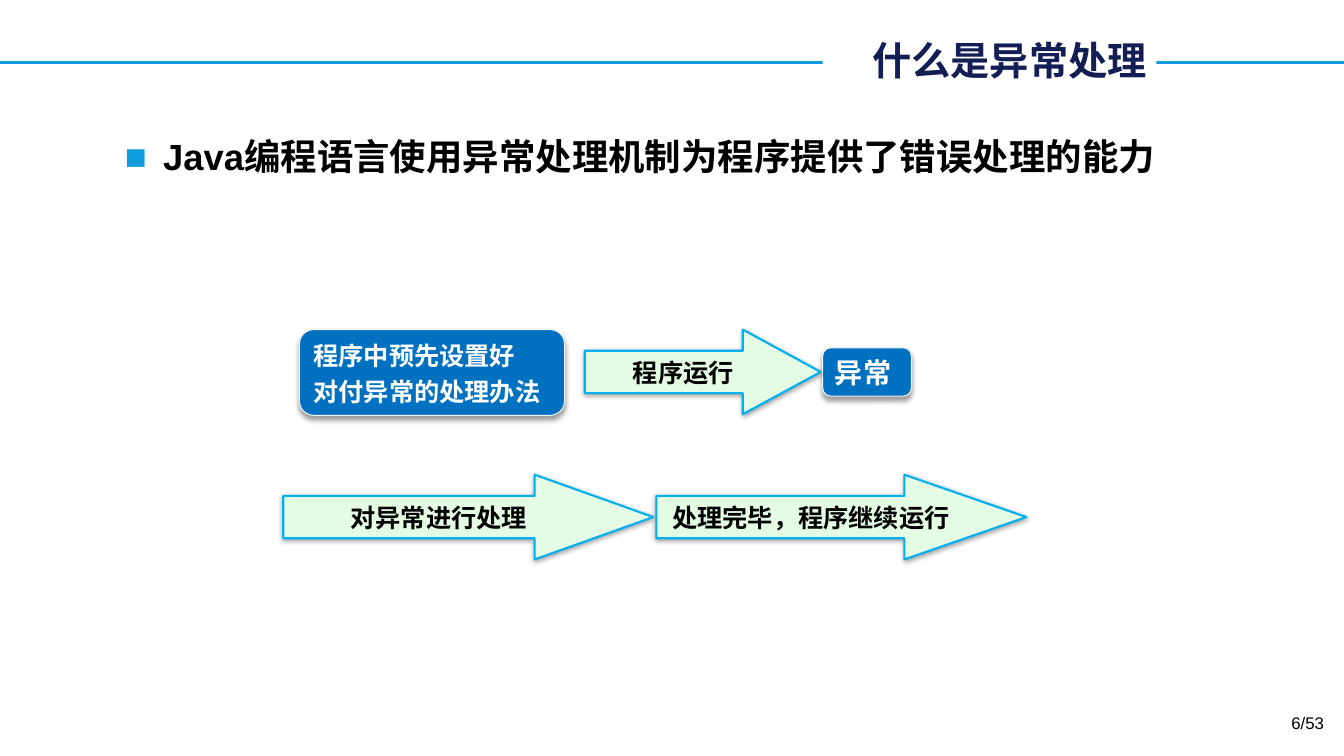
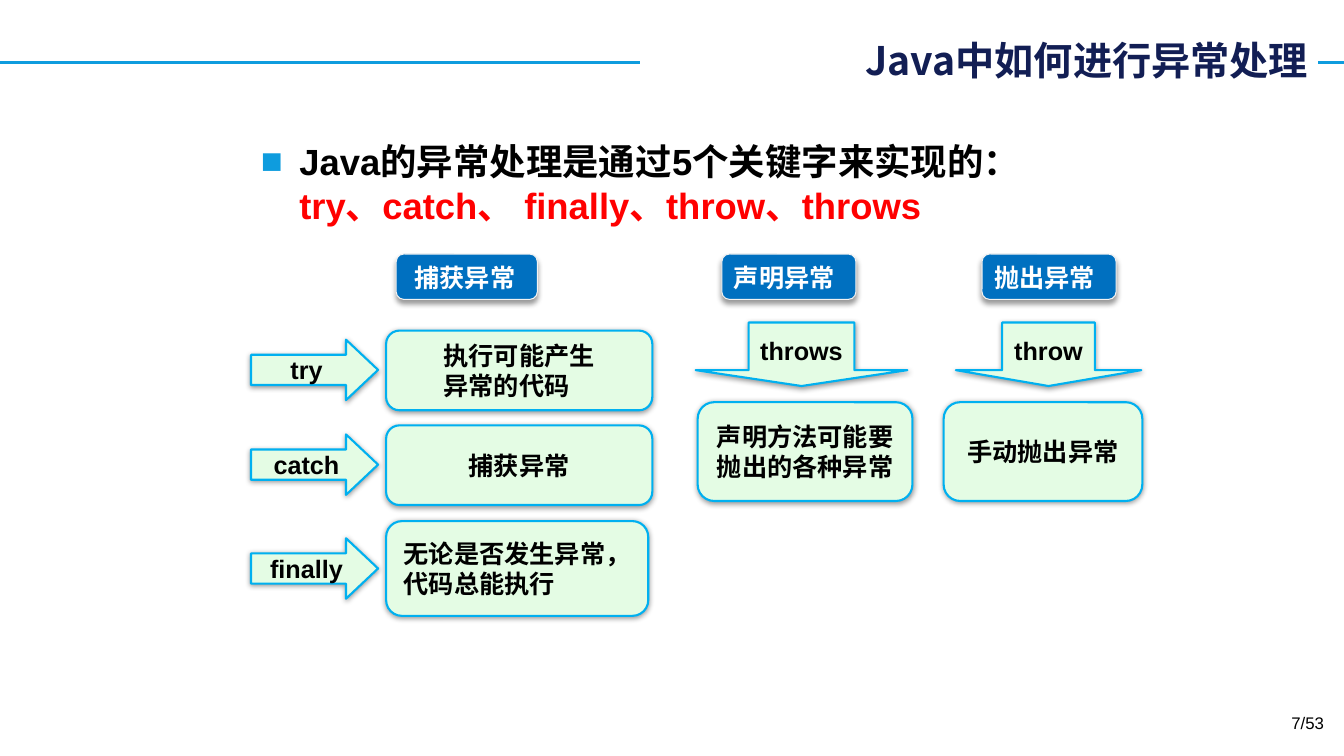
from lxml import etree
from pptx import Presentation
from pptx.dml.color import RGBColor
from pptx.enum.shapes import MSO_CONNECTOR, MSO_SHAPE
from pptx.enum.text import MSO_ANCHOR, PP_ALIGN
from pptx.oxml.ns import qn
from pptx.util import Pt

PX = 9144  # 100 px to the inch
PAGE_W, PAGE_H = 1333, 750
PAGE_COUNT = 53
COLORS = {
    "white": "FFFFFF", "black": "000000", "navy": "121E54", "accent": "0E9CDE",
    "label": "0070C0", "label_edge": "F2F2F2", "card": "E4FCE4",
    "card_edge": "00B0F0", "keyword": "FF0000",
}
BODY_FONT, TITLE_FONT = "Arial", "Noto Sans CJK SC"
LEFT, RIGHT = PP_ALIGN.LEFT, PP_ALIGN.RIGHT
TOP, MIDDLE, BOTTOM = MSO_ANCHOR.TOP, MSO_ANCHOR.MIDDLE, MSO_ANCHOR.BOTTOM
ROUNDED = MSO_SHAPE.ROUNDED_RECTANGLE
RIGHT_ARROW, DOWN_ARROW = MSO_SHAPE.RIGHT_ARROW, MSO_SHAPE.DOWN_ARROW
STRAIGHT = MSO_CONNECTOR.STRAIGHT


def rgb(name):
    return RGBColor.from_string(COLORS[name])


def emu(*lengths):
    return [length * PX for length in lengths]


def style_span(span, size, color, bold=True, font=BODY_FONT):
    """Format a run with one font for Latin and Chinese alike."""
    span.font.size = Pt(size)
    span.font.bold = bold
    span.font.color.rgb = rgb(color)
    span.font.name = font
    etree.SubElement(span.font._element, qn("a:ea"), typeface=font)


def write(shape, text, size, color, align=LEFT, anchor=TOP, bold=True,
          font=BODY_FONT, gap=0):
    """Fill a shape with one paragraph per line of text, gap points apart."""
    frame = shape.text_frame
    frame.word_wrap = True
    frame.vertical_anchor = anchor
    frame.text = text
    for index, para in enumerate(frame.paragraphs):
        para.alignment = align
        if index and gap:
            para.space_before = Pt(gap)
        for span in para.runs:
            style_span(span, size, color, bold, font)
    return frame


def add_text(page, box, text, size, color, **options):
    shape = page.shapes.add_textbox(*emu(*box))
    write(shape, text, size, color, **options)
    return shape


def add_shadow(shape, distance):
    shape.shadow.inherit = False
    effects = shape._element.spPr.find(qn("a:effectLst"))
    shadow = etree.SubElement(
        effects, qn("a:outerShdw"), blurRad=str(Pt(4)), dist=str(Pt(distance)),
        dir="5400000", algn="ctr", rotWithShape="0")
    color = etree.SubElement(shadow, qn("a:srgbClr"), val=COLORS["black"])
    etree.SubElement(color, qn("a:alpha"), val="40000")


def add_block(page, kind, box, fill, edge, edge_width, shadow):
    shape = page.shapes.add_shape(kind, *emu(*box))
    shape.fill.solid()
    shape.fill.fore_color.rgb = rgb(fill)
    shape.line.color.rgb = rgb(edge)
    shape.line.width = Pt(edge_width)
    add_shadow(shape, shadow)
    return shape


def add_label(page, box, text, size=18, inset=10):
    shape = add_block(page, ROUNDED, box, "label", "label_edge", 0.75, 3)
    frame = write(shape, text, size, "white", anchor=BOTTOM, gap=3.6)
    frame.margin_left = inset * PX


def add_card(page, box, text, kind=ROUNDED, head=None):
    """Add a green block whose left-aligned text is centred as a whole."""
    shape = add_block(page, kind, box, "card", "card_edge", 1.5, 1)
    if head:
        shape.adjustments[1] = head
    frame = write(shape, text, 18, "black", anchor=MIDDLE)
    frame._txBody.bodyPr.set("anchorCtr", "1")


def add_bullet(page, box, text):
    shape = add_text(page, box, text, 26, "black")
    para = shape.text_frame.paragraphs[0]
    props = para._p.get_or_add_pPr()
    props.set("marL", str(38 * PX))
    props.set("indent", str(-38 * PX))
    color = etree.SubElement(props, qn("a:buClr"))
    etree.SubElement(color, qn("a:srgbClr"), val=COLORS["accent"])
    etree.SubElement(props, qn("a:buFont"), typeface=BODY_FONT)
    etree.SubElement(props, qn("a:buChar"), char="■")
    return para


def add_page(deck, number, title, title_left, title_width):
    """Add a page with its title rule, title and page number."""
    page = deck.slides.add_slide(deck.slide_layouts[6])
    rule = page.shapes.add_connector(STRAIGHT, *emu(0, 62, PAGE_W, 62))
    rule.line.color.rgb = rgb("accent")
    rule.line.width = Pt(2.25)
    etree.SubElement(rule._element.spPr, qn("a:effectLst"))
    heading = add_text(page, (title_left, 31, title_width, 57), title, 28, "navy",
                       align=RIGHT, anchor=MIDDLE, font=TITLE_FONT)
    heading.fill.solid()
    heading.fill.fore_color.rgb = rgb("white")
    add_text(page, (1012, 702, 311, 40), f"{number}/{PAGE_COUNT}", 12, "black",
             align=RIGHT, bold=False)
    return page


def add_flow(page, left, top):
    """Draw the two rows of the run-time flow."""
    add_label(page, (left + 16, top, 263, 85), "程序中预先设置好\n对付异常的处理办法")
    add_label(page, (left + 535, top + 18, 88, 48), "异常", size=20)
    for dx, dy, width, head, text in (
            (299, 0, 234, 0.92, "程序运行"),
            (370, 144, 367, 1.44, "处理完毕，程序继续运行"),
            (0, 144, 367, 1.4, "对异常进行处理")):
        add_card(page, (left + dx, top + dy, width, 84), text, RIGHT_ARROW, head)


def add_keyword_row(page, left, top, width, height, keyword, text):
    """Draw a keyword arrow that points to its explanation."""
    arrow_height = 60
    arrow_top = top + (height - arrow_height) // 2
    add_card(page, (left, arrow_top, 126, arrow_height), keyword, RIGHT_ARROW, 0.53)
    add_card(page, (left + 134, top, width, height), text)


def add_keyword_column(page, left, top, width, label_dx, arrow_dx, arrow_width,
                       label, keyword, text):
    """Draw a label, a keyword arrow and its explanation from top to bottom."""
    add_label(page, (left + label_dx, top, 133, 45), label)
    add_card(page, (left + arrow_dx, top + 68, arrow_width, 63), keyword, DOWN_ARROW, 0.25)
    add_card(page, (left, top + 147, width, 98), text)


def build_definition_page(deck):
    page = add_page(deck, 6, "什么是异常处理", 816, 331)
    para = add_bullet(page, (114, 133, 1115, 60),
                      "Java编程语言使用异常处理机制为程序提供了错误处理的能力")
    para.line_spacing = 0.9
    add_flow(page, 281, 327)


def build_keyword_page(deck):
    page = add_page(deck, 7, "Java中如何进行异常处理", 635, 672)
    para = add_bullet(page, (249, 133, 879, 103),
                      "Java的异常处理是通过5个关键字来实现的：\v"
                      "try、catch、 finally、throw、throws")
    para.runs[1].font.color.rgb = rgb("keyword")
    add_label(page, (393, 252, 140, 45), "捕获异常", inset=16)
    for top, width, height, keyword, text in (
            (328, 264, 79, "try", "执行可能产生\n异常的代码"),
            (422, 264, 79, "catch", "捕获异常"),
            (517, 260, 94, "finally", "无论是否发生异常，\n代码总能执行")):
        add_keyword_row(page, 249, top, width, height, keyword, text)
    add_keyword_column(page, 692, 252, 213, 24, -2, 210,
                       "声明异常", "throws", "声明方法可能要\n抛出的各种异常")
    add_keyword_column(page, 936, 252, 197, 38, 12, 184,
                       "抛出异常", "throw", "手动抛出异常")


def main():
    deck = Presentation()
    deck.slide_width, deck.slide_height = emu(PAGE_W, PAGE_H)
    build_definition_page(deck)
    build_keyword_page(deck)
    deck.save("out.pptx")


if __name__ == "__main__":
    main()
